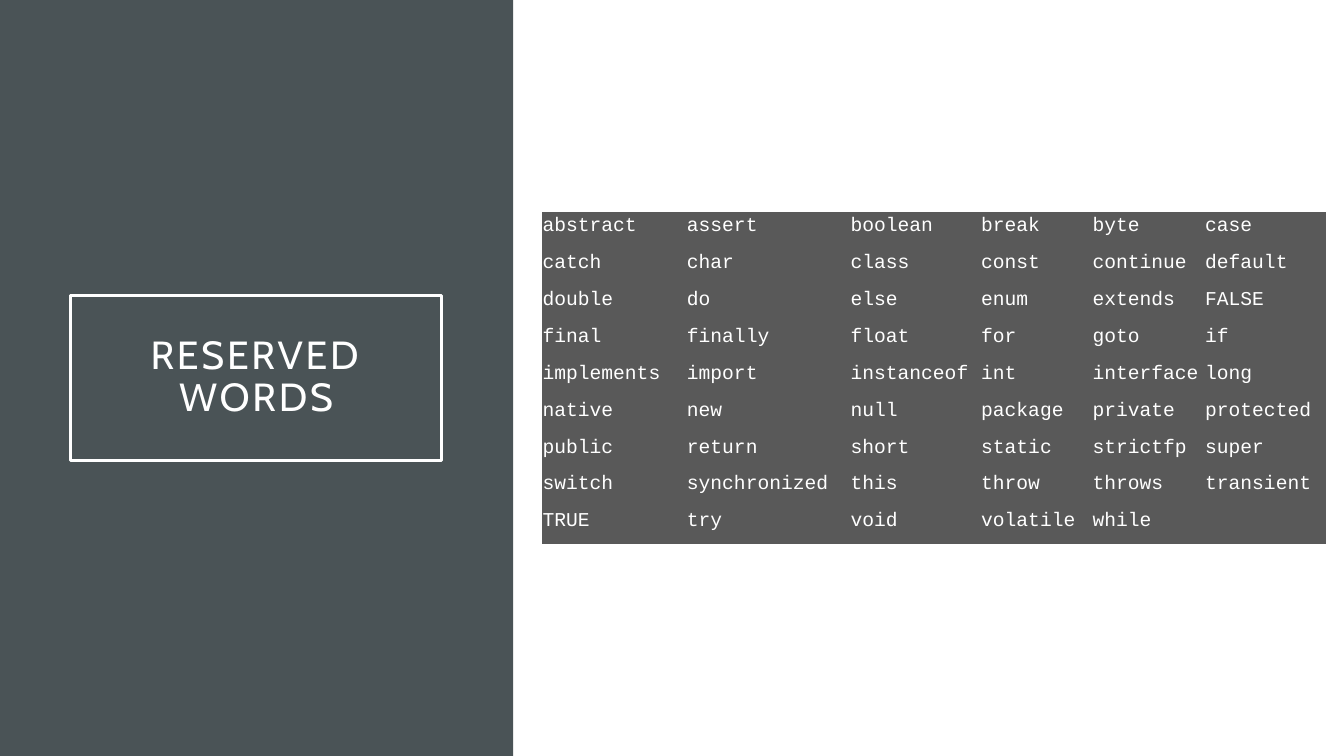
from lxml.etree import SubElement
from pptx import Presentation
from pptx.dml.color import RGBColor
from pptx.enum.shapes import MSO_SHAPE as Preset
from pptx.enum.text import MSO_ANCHOR as Anchor, PP_ALIGN as Align
from pptx.oxml.ns import qn
from pptx.util import Pt

COLORS = {"panel": "4A5356", "cell": "595959", "white": "FFFFFF"}
NO_GRID_STYLE = "{2D5ABB26-0587-4C30-8999-92F81FD0307C}"
COLUMN_WIDTHS = [103.1, 116.9, 93.3, 79.6, 80.4, 86.7]
ROW_HEIGHT = 26.35
RESERVED_WORDS = """
abstract assert boolean break byte case
catch char class const continue default
double do else enum extends FALSE
final finally float for goto if
implements import instanceof int interface long
native new null package private protected
public return short static strictfp super
switch synchronized this throw throws transient
TRUE try void volatile while
""".strip().splitlines()


def apply_format(target, values):
    for name, value in values.items():
        setattr(target, name, value)


class SlideBuilder:
    title_font = {"name": "Cabin", "size": Pt(28)}
    code_font = {"name": "Courier New", "size": Pt(14)}
    title_frame = {
        "word_wrap": True,
        "vertical_anchor": Anchor.MIDDLE,
        "margin_left": Pt(14.4),
        "margin_top": Pt(14.4),
        "margin_right": Pt(14.4),
        "margin_bottom": Pt(14.4),
    }
    title_paragraph = {"alignment": Align.CENTER, "line_spacing": 0.9}
    cell_format = {
        "vertical_anchor": Anchor.MIDDLE,
        "margin_left": Pt(0.7),
        "margin_top": Pt(0.7),
        "margin_right": Pt(0.7),
        "margin_bottom": Pt(6.5),
    }
    table_format = {"first_row": False, "horz_banding": False}

    def __init__(self, slide):
        self.slide = slide

    def color(self, name):
        return RGBColor.from_string(COLORS[name])

    def fill(self, target, name):
        target.fill.solid()
        target.fill.fore_color.rgb = self.color(name)

    def rectangle(self, left, top, width, height, fill=None, line=None):
        shape = self.slide.shapes.add_shape(
            Preset.RECTANGLE, Pt(left), Pt(top), Pt(width), Pt(height))
        shape.shadow.inherit = False
        if fill:
            self.fill(shape, fill)
        else:
            shape.fill.background()
        if line:
            shape.line.color.rgb = self.color(line)
            shape.line.width = Pt(2.5)
        else:
            shape.line.fill.background()
        return shape

    def add_text(self, paragraph, text, font):
        run = paragraph.add_run()
        run.text = text
        apply_format(run.font, font)
        run.font.color.rgb = self.color("white")
        return run

    def title(self, text, left, top, width, height):
        shape = self.rectangle(left, top, width, height, line="white")
        apply_format(shape.text_frame, self.title_frame)
        paragraph = shape.text_frame.paragraphs[0]
        apply_format(paragraph, self.title_paragraph)
        run = self.add_text(paragraph, text, self.title_font)
        run._r.get_or_add_rPr().set("spc", "200")

    def word_table(self, rows, left, top):
        table = self.slide.shapes.add_table(
            len(rows), len(COLUMN_WIDTHS), Pt(left), Pt(top),
            Pt(sum(COLUMN_WIDTHS)), Pt(ROW_HEIGHT * len(rows))).table
        apply_format(table, self.table_format)
        next(table._tbl.iter(qn("a:tableStyleId"))).text = NO_GRID_STYLE
        for column, width in zip(table.columns, COLUMN_WIDTHS):
            column.width = Pt(width)
        for row, line in zip(table.rows, rows):
            row.height = Pt(ROW_HEIGHT)
            words = line.split()
            for index, cell in enumerate(row.cells):
                apply_format(cell, self.cell_format)
                self.fill(cell, "cell")
                paragraph = cell.text_frame.paragraphs[0]
                if index < len(words):
                    self.add_text(paragraph, words[index], self.code_font)
                else:
                    SubElement(paragraph._p, qn("a:endParaRPr"), sz="1400")


def main():
    presentation = Presentation()
    presentation.slide_width = Pt(960)
    presentation.slide_height = Pt(540)
    builder = SlideBuilder(presentation.slides.add_slide(presentation.slide_layouts[6]))
    builder.rectangle(0, 0, 366.5, 540, fill="panel")
    builder.title("RESERVED WORDS", 50.4, 211, 265, 118)
    builder.word_table(RESERVED_WORDS, 386.9, 151.6)
    presentation.save("out.pptx")


if __name__ == "__main__":
    main()
